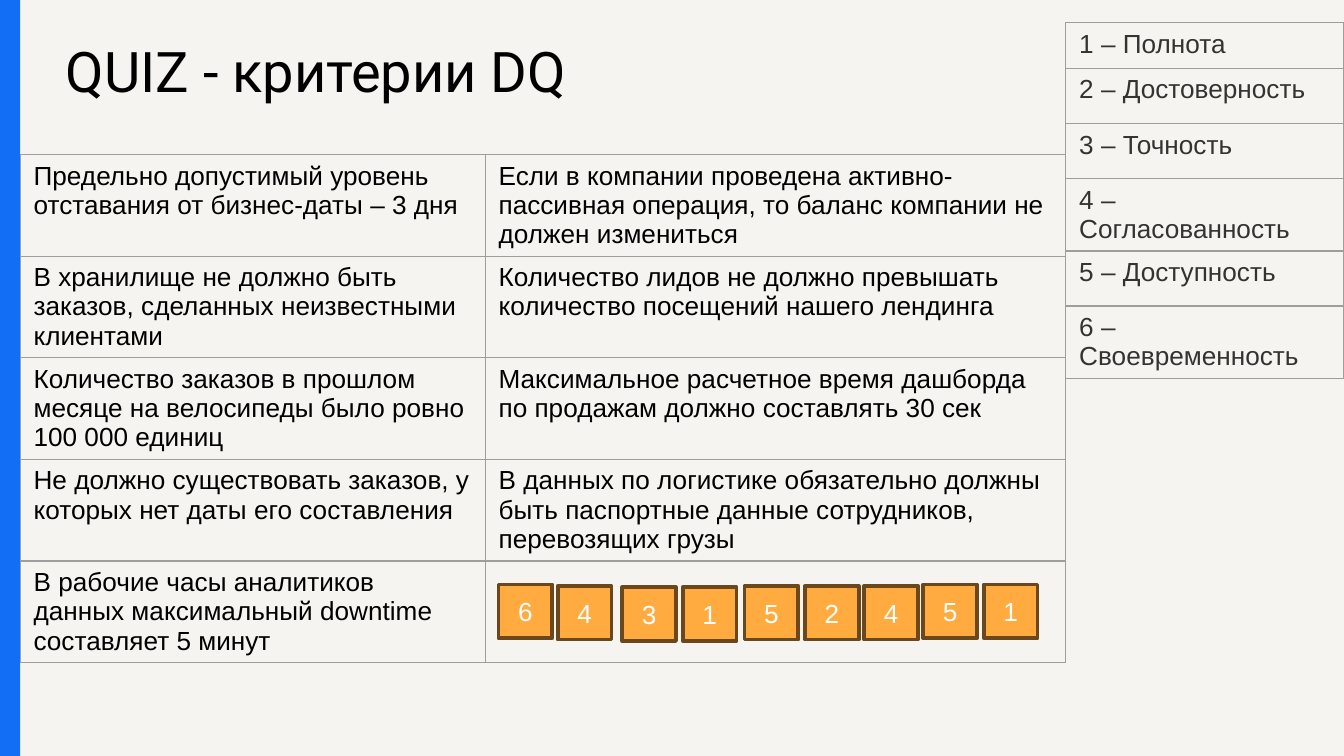
from lxml import etree
from pptx import Presentation
from pptx.dml.color import RGBColor
from pptx.enum.shapes import MSO_SHAPE
from pptx.enum.text import MSO_ANCHOR, PP_ALIGN
from pptx.oxml.ns import qn
from pptx.util import Inches, Pt

RECTANGLE = MSO_SHAPE.RECTANGLE
TOP, MIDDLE = MSO_ANCHOR.TOP, MSO_ANCHOR.MIDDLE
LEFT, CENTER = PP_ALIGN.LEFT, PP_ALIGN.CENTER

PAPER = RGBColor(0xF5, 0xF4, 0xF0)
BLUE = RGBColor(0x13, 0x6E, 0xF6)
ORANGE = RGBColor(0xFF, 0xAB, 0x40)
BROWN = RGBColor(0x6B, 0x48, 0x1B)
GRAY = RGBColor(0x9E, 0x9E, 0x9E)
DARK = RGBColor(0x33, 0x33, 0x33)
BLACK = RGBColor(0, 0, 0)
WHITE = RGBColor(0xFF, 0xFF, 0xFF)

SLIDE_WIDTH = 10
SLIDE_HEIGHT = SLIDE_WIDTH * 9 / 16
ROW_HEIGHT = 0.41
TILE_SIZE = 0.4

CRITERIA = ["Полнота", "Достоверность", "Точность",
            "Согласованность", "Доступность", "Своевременность"]

QUESTIONS = [
    ("Предельно допустимый уровень отставания от бизнес-даты – 3 дня",
     "Если в компании проведена активно-пассивная операция, "
     "то баланс компании не должен измениться"),
    ("В хранилище не должно быть заказов, сделанных неизвестными клиентами",
     "Количество лидов не должно превышать количество посещений нашего лендинга"),
    ("Количество заказов в прошлом месяце на велосипеды было ровно 100 000 единиц",
     "Максимальное расчетное время дашборда по продажам должно составлять 30 сек"),
    ("Не должно существовать заказов, у которых нет даты его составления",
     "В данных по логистике обязательно должны быть паспортные данные "
     "сотрудников, перевозящих грузы"),
    ("В рабочие часы аналитиков данных максимальный downtime составляет 5 минут", ""),
]

# Answer, left, top: the tiles are scattered slightly by hand.
ANSWERS = [("6", 3.71, 4.35), ("4", 4.15, 4.36), ("3", 4.63, 4.37),
           ("1", 5.08, 4.37), ("5", 5.54, 4.36), ("2", 5.99, 4.36),
           ("4", 6.43, 4.36), ("5", 6.87, 4.35), ("1", 7.32, 4.35)]


def write_text(frame, text, size=14, font="Arial", color=BLACK, align=LEFT):
    para = frame.paragraphs[0]
    para.alignment = align
    if not text:
        para.font.size = Pt(size)
        return
    span = para.add_run()
    span.text = text
    span.font.size = Pt(size)
    span.font.name = font
    span.font.color.rgb = color


def add_title(page, text):
    title = page.shapes.title
    title.left, title.top = Inches(0.39), Inches(0.17)
    title.width, title.height = Inches(6.62), Inches(0.79)
    frame = title.text_frame
    frame.word_wrap = True
    frame.vertical_anchor = TOP
    frame.margin_left = frame.margin_right = Inches(0.1)
    frame.margin_top = frame.margin_bottom = Inches(0.1)
    write_text(frame, text, size=30, font="Roboto")


def add_box(page, left, top, width, height, fill, line=None):
    box = page.shapes.add_shape(RECTANGLE, Inches(left), Inches(top),
                                Inches(width), Inches(height))
    box.shadow.inherit = False
    box.fill.solid()
    box.fill.fore_color.rgb = fill
    if line is None:
        box.line.fill.background()
    else:
        box.line.color.rgb = line
        box.line.width = Pt(2)
    return box


def add_tile(page, answer, left, top):
    tile = add_box(page, left, top, TILE_SIZE, TILE_SIZE, ORANGE, BROWN)
    tile.text_frame.vertical_anchor = MIDDLE
    write_text(tile.text_frame, answer, color=WHITE, align=CENTER)


def set_borders(cell):
    properties = cell._tc.get_or_add_tcPr()
    for index, side in enumerate(("lnL", "lnR", "lnT", "lnB")):
        border = etree.Element(qn(f"a:{side}"), w=str(Pt(0.75)))
        fill = etree.SubElement(border, qn("a:solidFill"))
        etree.SubElement(fill, qn("a:srgbClr"), val=str(GRAY))
        properties.insert(index, border)


def add_grid(page, rows, left, top, height, widths, heights, color):
    """Add a bordered table without fill; rows grow to fit their text."""
    table = page.shapes.add_table(len(rows), len(widths), Inches(left), Inches(top),
                                  Inches(sum(widths)), Inches(height)).table
    table.first_row = False
    table.horz_banding = False
    for column, width in zip(table.columns, widths):
        column.width = Inches(width)
    for row, row_height, texts in zip(table.rows, heights, rows):
        row.height = Inches(row_height)
        for cell, text in zip(row.cells, texts):
            cell.fill.background()
            set_borders(cell)
            write_text(cell.text_frame, text, color=color)


def main():
    deck = Presentation()
    deck.slide_width, deck.slide_height = Inches(SLIDE_WIDTH), Inches(SLIDE_HEIGHT)
    page = deck.slides.add_slide(deck.slide_layouts[0])
    page.background.fill.solid()
    page.background.fill.fore_color.rgb = PAPER
    subtitle = page.placeholders[1].element
    subtitle.getparent().remove(subtitle)

    add_title(page, "QUIZ - критерии DQ")
    add_box(page, 0, -0.01, 0.15, 5.65, BLUE)
    criteria = [(f"{number} – {name}",) for number, name in enumerate(CRITERIA, 1)]
    add_grid(page, criteria, 7.93, 0.17, 2.69, [2.07],
             [0.34] + [ROW_HEIGHT] * 5, DARK)
    add_grid(page, QUESTIONS, 0.15, 1.15, 4, [3.46, 4.32],
             [ROW_HEIGHT] * 5, BLACK)
    for answer, left, top in ANSWERS:
        add_tile(page, answer, left, top)
    deck.save("out.pptx")


if __name__ == "__main__":
    main()
